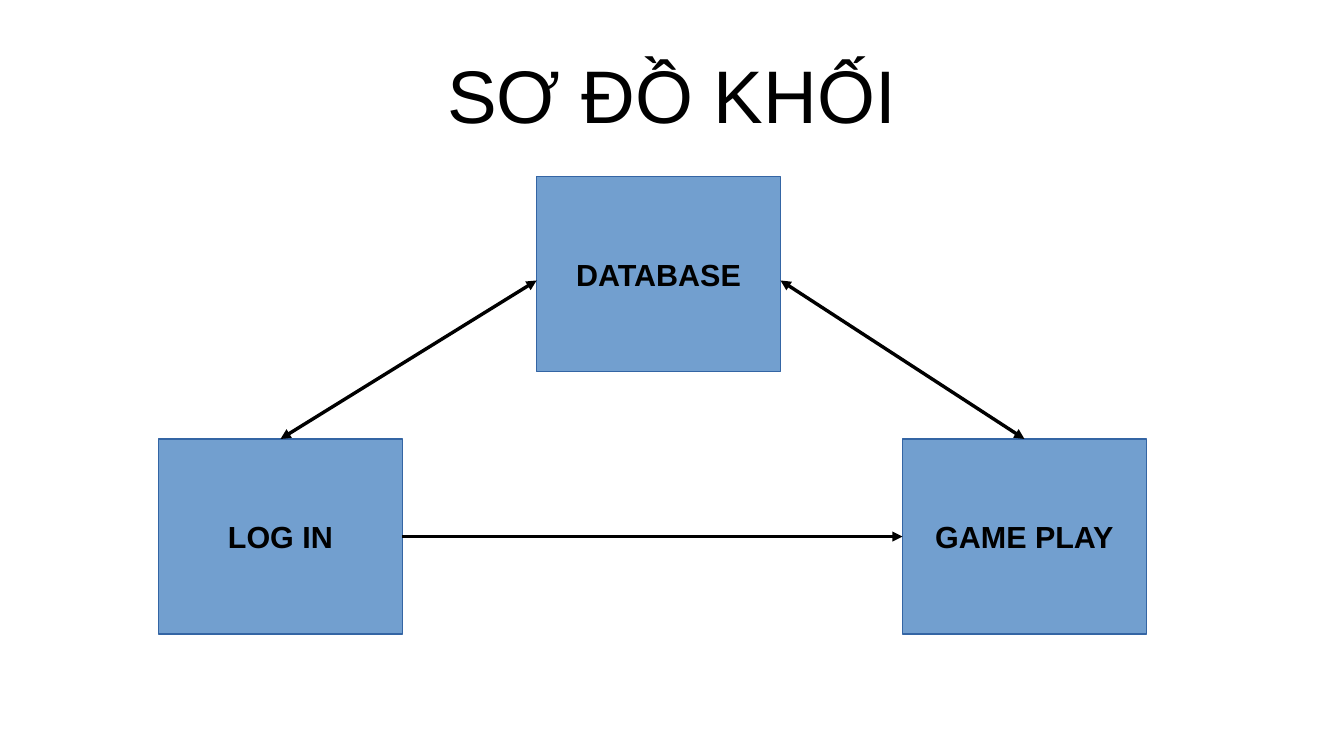
from lxml.etree import SubElement
from pptx import Presentation
from pptx.dml.color import RGBColor
from pptx.enum.shapes import MSO_CONNECTOR as Connector, MSO_SHAPE as Shape
from pptx.enum.text import MSO_ANCHOR as Anchor, PP_ALIGN as Align
from pptx.oxml.ns import qn
from pptx.util import Inches, Pt

THEME = {
    "font": "Arial",
    "text": RGBColor.from_string("000000"),
    "box": RGBColor.from_string("729FCF"),
    "border": RGBColor.from_string("3465A4"),
    "arrow": RGBColor.from_string("000000"),
    "title_size": 44,
    "label_size": 18,
    "hairline": Pt(0),
}
CELL = Inches(0.1)
BOX_COLUMNS, BOX_ROWS = 20, 16
TOP, LEFT, RIGHT = 0, 1, 3


def grid(*cells):
    return [round(cell * CELL) for cell in cells]


def write(shape, text, size, bold=False, wrap=False, margins=(1, 0.5)):
    frame = shape.text_frame
    frame.word_wrap = wrap
    frame.vertical_anchor = Anchor.MIDDLE
    frame.margin_left = frame.margin_right = round(margins[0] * CELL)
    frame.margin_top = frame.margin_bottom = round(margins[1] * CELL)
    paragraph = frame.paragraphs[0]
    paragraph.alignment = Align.CENTER
    run = paragraph.add_run()
    run.text = text
    run.font.name = THEME["font"]
    run.font.size = Pt(size)
    run.font.bold = bold
    run.font.color.rgb = THEME["text"]


presentation = Presentation()
presentation.slide_width = Inches(11.02)
presentation.slide_height = Inches(6.2)
slide = presentation.slides.add_slide(presentation.slide_layouts[6])

title = slide.shapes.add_textbox(*grid(5.5, 2.5, 99.2, 10.4))
write(title, "SƠ ĐỒ KHỐI", THEME["title_size"], wrap=True, margins=(0, 0))

# Blocks: label, column, row
boxes = {}
for label, column, row in [
    ("LOG IN", 13, 36),
    ("GAME PLAY", 74, 36),
    ("DATABASE", 44, 14.5),
]:
    box = slide.shapes.add_shape(
        Shape.RECTANGLE, *grid(column, row, BOX_COLUMNS, BOX_ROWS)
    )
    box.shadow.inherit = False
    box.fill.solid()
    box.fill.fore_color.rgb = THEME["box"]
    box.line.color.rgb = THEME["border"]
    box.line.width = THEME["hairline"]
    write(box, label, THEME["label_size"], bold=True)
    boxes[label] = box

# Arrows: start, end, joined box and side at each end, arrowheads.
# The database ends sit just below the middle of its sides, so they stay free.
for start, end, begin_join, end_join, heads in [
    ((33, 44), (74, 44), ("LOG IN", RIGHT), ("GAME PLAY", LEFT), ["tailEnd"]),
    ((23, 36), (44, 23), ("LOG IN", TOP), None, ["headEnd", "tailEnd"]),
    ((64, 23), (84, 36), None, ("GAME PLAY", TOP), ["headEnd", "tailEnd"]),
]:
    arrow = slide.shapes.add_connector(Connector.STRAIGHT, *grid(*start, *end))
    if begin_join:
        arrow.begin_connect(boxes[begin_join[0]], begin_join[1])
    if end_join:
        arrow.end_connect(boxes[end_join[0]], end_join[1])
    arrow.line.color.rgb = THEME["arrow"]
    arrow.line.width = THEME["hairline"]
    properties = arrow._element.spPr
    for head in heads:
        SubElement(properties.find(qn("a:ln")), qn(f"a:{head}"), type="triangle")
    SubElement(properties, qn("a:effectLst"))

presentation.save("out.pptx")
